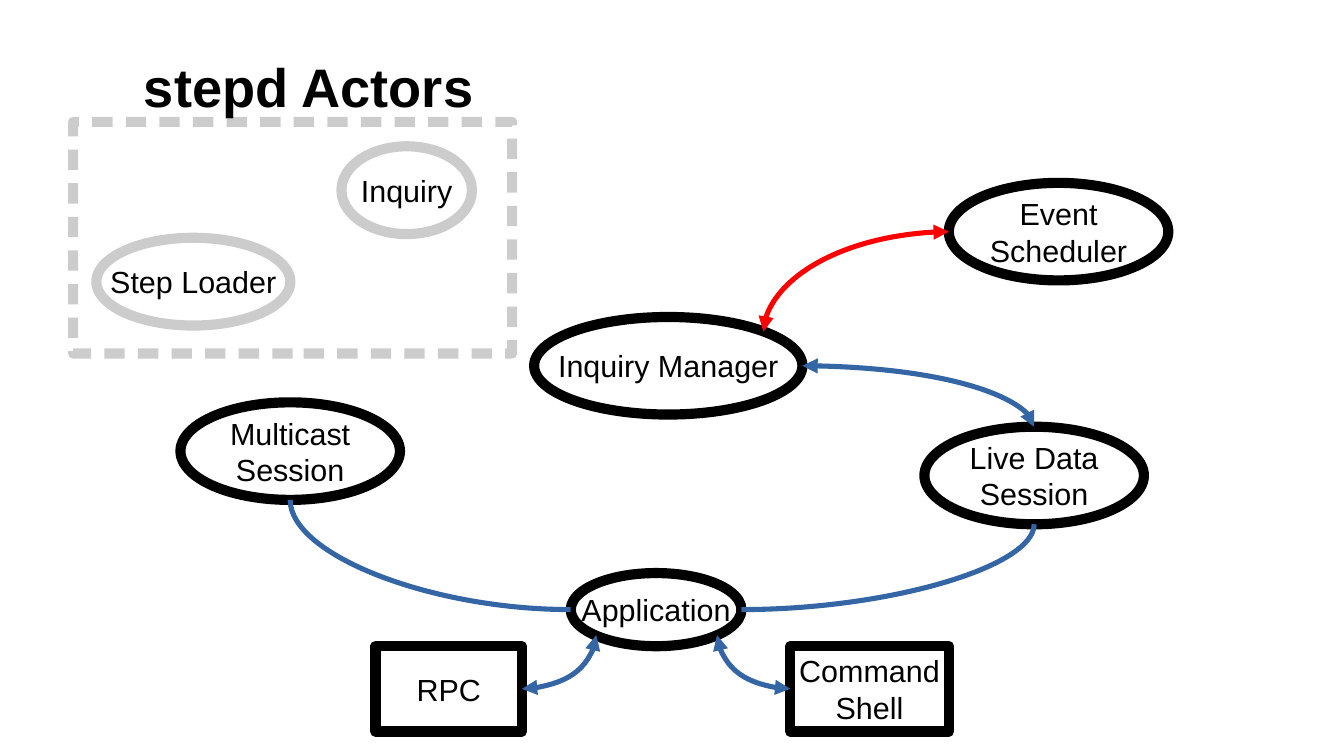
"""Builds the stepd actors slide: named actors joined by curved links."""
from lxml.etree import SubElement
from pptx import Presentation
from pptx.dml.color import RGBColor as RGB
from pptx.enum.shapes import MSO_CONNECTOR as LINK, MSO_SHAPE as KIND
from pptx.enum.text import MSO_ANCHOR as ANCHOR, MSO_AUTO_SIZE as FIT, PP_ALIGN as ALIGN
from pptx.oxml.ns import qn
from pptx.util import Pt

PX = 9144
THEME = {
    "font": "Arial", "title": Pt(32), "label": Pt(18),
    "edge": Pt(6), "wire": Pt(3),
    "ink": RGB(0, 0, 0), "blue": RGB(0x34, 0x65, 0xA4), "red": RGB(0xFF, 0, 0),
    "faint": "20000",
}


def style(frame, size, bold, align, pads, **form):
    """Format a text frame and each of its paragraphs."""
    sides = ("margin_left", "margin_top", "margin_right", "margin_bottom")
    form.update(zip(sides, [pad * PX for pad in pads]))
    for key, val in form.items():
        setattr(frame, key, val)
    for para in frame.paragraphs:
        para.alignment = align
        for run in para.runs:
            face = {"name": THEME["font"], "size": size, "bold": bold}
            for key, val in face.items():
                setattr(run.font, key, val)
            run.font.color.rgb = THEME["ink"]


def add(root, tag, **attrs):
    """Append a drawing element to a parent."""
    return SubElement(root, qn("a:" + tag), **attrs)


deck = Presentation()
deck.slide_width, deck.slide_height = 1102 * PX, 620 * PX
slide = deck.slides.add_slide(deck.slide_layouts[5])

title = slide.shapes.title
place = {"left": 118, "top": 40, "width": 942, "height": 60}
for key, val in place.items():
    setattr(title, key, val * PX)
title.text_frame.text = "stepd Actors"
style(title.text_frame, THEME["title"], True, ALIGN.LEFT, (0, 0, 0, 0),
      vertical_anchor=ANCHOR.MIDDLE, word_wrap=True, auto_size=FIT.NONE)

OVAL, RECT = KIND.OVAL, KIND.RECTANGLE
nodes = [
    (OVAL, "Application", (468, 470, 140, 60), "solid"),
    (RECT, "RPC", (308, 530, 120, 70), "solid"),
    (RECT, "Command\nShell", (648, 530, 130, 70), "solid"),
    (OVAL, "Live Data\nSession", (758, 350, 180, 80), "solid"),
    (OVAL, "Multicast\nSession", (148, 330, 180, 80), "solid"),
    (OVAL, "Inquiry Manager", (438, 260, 220, 80), "solid"),
    (OVAL, "Event\nScheduler", (778, 150, 180, 80), "solid"),
    (RECT, "", (60, 100, 360, 190), "dashed"),
    (OVAL, "Inquiry", (280, 120, 107, 72), "faint"),
    (OVAL, "Step Loader", (79, 195, 159, 72), "faint"),
]
for kind, text, box, look in nodes:
    node = slide.shapes.add_shape(kind, *[side * PX for side in box])
    node.shadow.inherit = False
    node.fill.background()
    node.line.width = THEME["edge"]
    node.line.color.rgb = THEME["ink"]
    edge = node.line._get_or_add_ln()
    if look != "solid":
        add(edge.find(".//" + qn("a:srgbClr")), "alpha", val=THEME["faint"])
    if look == "dashed":
        add(add(edge, "custDash"), "ds", d="200000", sp="130000")
    add(edge, "round")
    if text:
        node.text_frame.text = text
        style(node.text_frame, THEME["label"], False, ALIGN.CENTER, (14, 9, 14, 9),
              vertical_anchor=ANCHOR.MIDDLE, word_wrap=False)

links = [
    ((428, 565), (489, 521), "blue", True),
    ((648, 565), (588, 521), "blue", True),
    ((468, 500), (238, 410), "blue", False),
    ((608, 500), (848, 430), "blue", False),
    ((658, 300), (848, 350), "blue", True),
    ((778, 190), (626, 272), "red", True),
]
for start, end, hue, heads in links:
    link = slide.shapes.add_connector(LINK.CURVE, *[spot * PX for spot in start + end])
    link.line.width = THEME["wire"]
    link.line.color.rgb = THEME[hue]
    props = link._element.spPr
    props.find(qn("a:prstGeom")).set("prst", "curvedConnector2")
    if heads:
        for tag in ("headEnd", "tailEnd"):
            add(link.line._get_or_add_ln(), tag, type="triangle")
    add(props, "effectLst")

deck.save("out.pptx")
